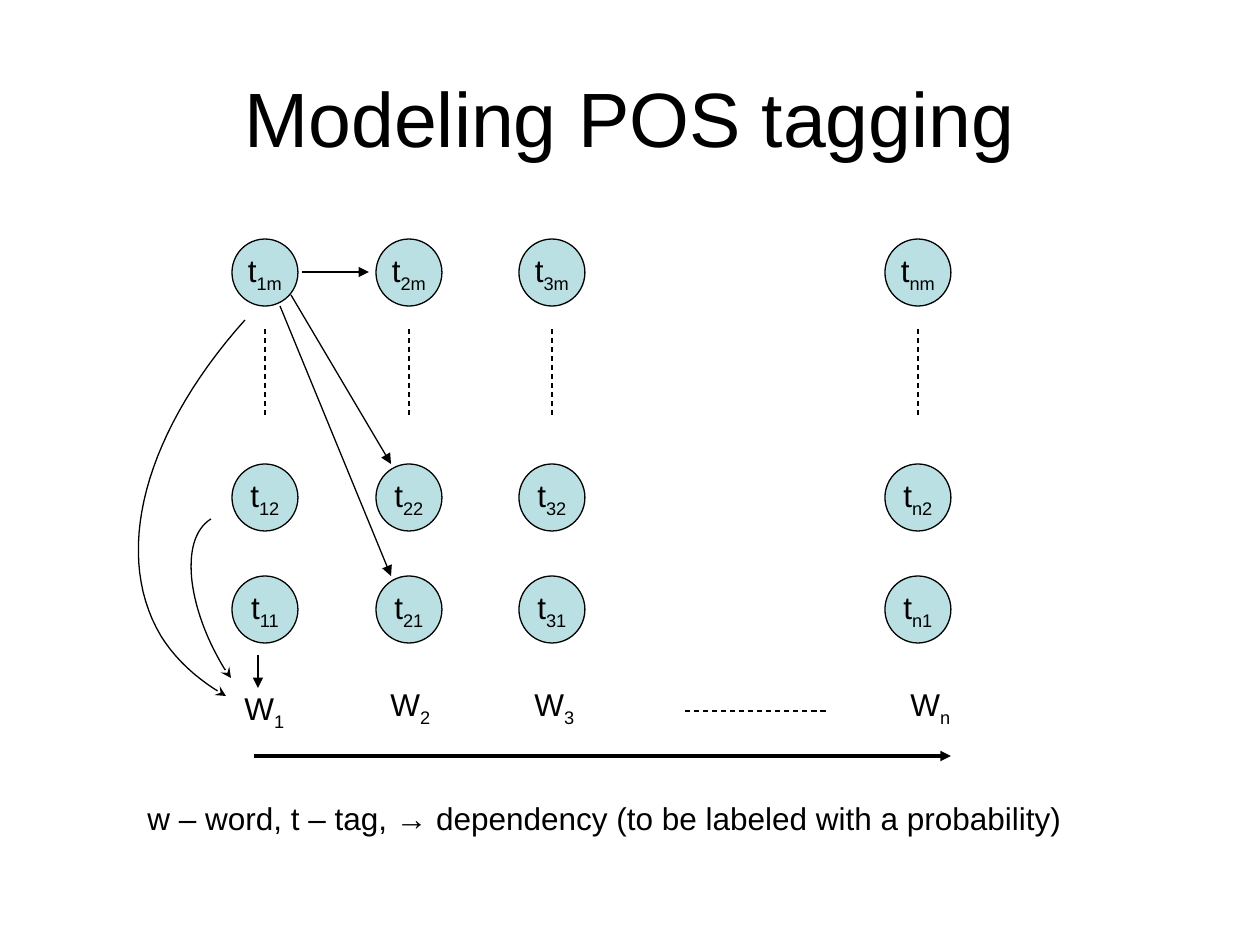
from lxml import etree
from pptx import Presentation
from pptx import util as u
from pptx.dml.color import RGBColor
from pptx.enum import dml, shapes, text
from pptx.oxml import ns

SCALE = 914400 / 126


def px(length):
    return u.Emu(round(length * SCALE))


def color(value):
    return RGBColor.from_string(value)


def write(frame, content, subscript="", size=18, font="Arial", ink="000000",
          align=text.PP_ALIGN.LEFT, anchor=text.MSO_ANCHOR.TOP, wrap=False,
          fit=text.MSO_AUTO_SIZE.NONE):
    frame.word_wrap = wrap
    frame.auto_size = fit
    frame.vertical_anchor = anchor
    paragraph = frame.paragraphs[0]
    paragraph.alignment = align
    for part, baseline in ((content, None), (subscript, "-25000")):
        if not part:
            continue
        run = paragraph.add_run()
        run.text = part
        run.font.size = u.Pt(size)
        run.font.name = font
        run.font.color.rgb = color(ink)
        if baseline:
            run.font._element.set("baseline", baseline)


def bezier(start, control1, control2, end, steps=30):
    points = []
    for step in range(steps + 1):
        t = step / steps
        weights = ((1 - t) ** 3, 3 * t * (1 - t) ** 2, 3 * t * t * (1 - t), t ** 3)
        corners = (start, control1, control2, end)
        points.append(tuple(sum(w * corner[axis] for w, corner in zip(weights, corners))
                            for axis in (0, 1)))
    return points


class Diagram:
    ink = "000000"
    node_fill = "BBE0E3"
    thin = 0.75

    def __init__(self, slide):
        self.slide = slide

    def label(self, box, content, **style):
        shape = self.slide.shapes.add_textbox(*map(px, box))
        write(shape.text_frame, content, **style)

    def node(self, box, content, subscript):
        shape = self.slide.shapes.add_shape(shapes.MSO_SHAPE.OVAL, *map(px, box))
        shape.shadow.inherit = False
        shape.fill.solid()
        shape.fill.fore_color.rgb = color(self.node_fill)
        self.stroke(shape)
        write(shape.text_frame, content, subscript,
              align=text.PP_ALIGN.CENTER, anchor=text.MSO_ANCHOR.MIDDLE)

    def stroke(self, shape, width=thin, arrow=None, dashed=False):
        shape.line.color.rgb = color(self.ink)
        shape.line.width = u.Pt(width)
        if dashed:
            shape.line.dash_style = dml.MSO_LINE.DASH
        if arrow:
            line = shape.line._get_or_add_ln()
            etree.SubElement(line, ns.qn("a:tailEnd"), type=arrow)

    def line(self, start, end, **style):
        connector = self.slide.shapes.add_connector(
            shapes.MSO_CONNECTOR.STRAIGHT, *map(px, start + end))
        self.stroke(connector, **style)
        etree.SubElement(connector._element.spPr, ns.qn("a:effectLst"))

    def curve(self, points):
        start, *others = [(px(x), px(y)) for x, y in points]
        builder = self.slide.shapes.build_freeform(*start)
        builder.add_line_segments(others, close=False)
        shape = builder.convert_to_shape()
        shape.shadow.inherit = False
        shape.fill.background()
        self.stroke(shape, arrow="stealth")


def main():
    presentation = Presentation()
    presentation.slide_width = px(1260)
    presentation.slide_height = px(945)
    diagram = Diagram(presentation.slides.add_slide(presentation.slide_layouts[6]))
    grow = text.MSO_AUTO_SIZE.SHAPE_TO_FIT_TEXT

    diagram.label((63, 38, 1134, 158), "Modeling POS tagging", size=44, wrap=True,
                  align=text.PP_ALIGN.CENTER, anchor=text.MSO_ANCHOR.MIDDLE)

    columns = (("1", 232, 232, 683), ("2", 376, 378, 679),
               ("3", 519, 522, 679), ("n", 885, 898, 679))
    rows = (("1", 576), ("2", 464), ("m", 239))
    for word, left, word_left, word_top in columns:
        diagram.label((word_left, word_top, 66, 55), "W", subscript=word, fit=grow)
        for tag, top in rows:
            diagram.node((left, top, 66, 67), "t", word + tag)
        center = left + 33
        diagram.line((center, 329), (center, 418), dashed=True)

    diagram.line((685, 711), (829, 711), dashed=True)
    diagram.line((254, 756), (951, 756), width=2, arrow="triangle")

    dependencies = (((302, 272), (369, 272)), ((291, 295), (391, 464)),
                    ((280, 306), (391, 576)), ((258, 655), (258, 688)))
    for start, end in dependencies:
        diagram.line(start, end, arrow="triangle")

    diagram.curve(bezier((211, 519), (180, 538), (186, 605), (224, 668))
                  + [(231, 678)])
    diagram.curve(bezier((245, 320), (144, 433), (112, 554), (161, 636))
                  + bezier((161, 636), (176, 660), (198, 680), (226, 696))[1:])

    diagram.label((135, 793, 939, 50),
                  "w – word, t – tag, → dependency (to be labeled with a probability)",
                  fit=grow)
    presentation.save("out.pptx")


if __name__ == "__main__":
    main()
